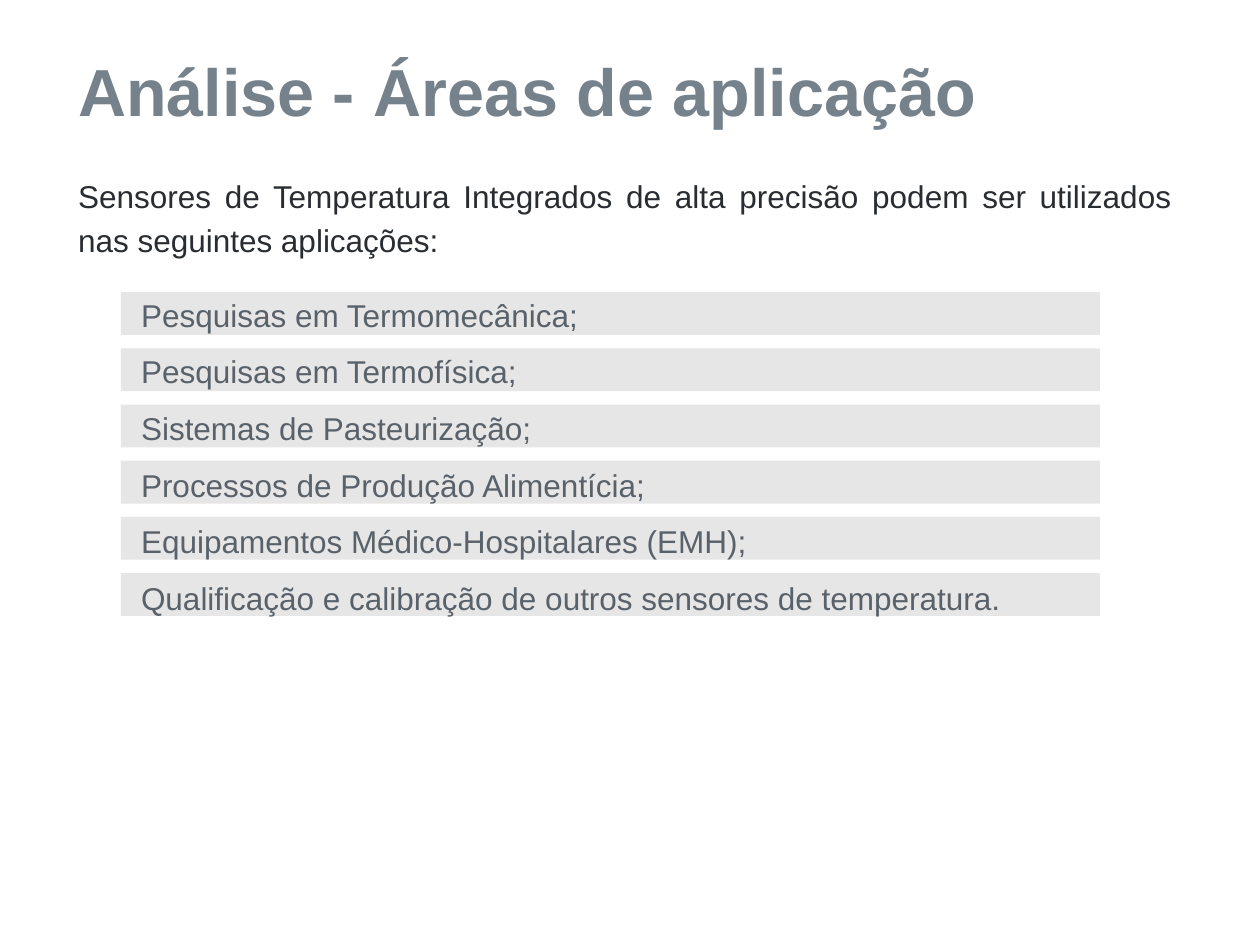
from dataclasses import dataclass

from lxml.etree import SubElement
from pptx import Presentation
from pptx.dml.color import RGBColor
from pptx.enum.shapes import MSO_SHAPE
from pptx.enum.text import MSO_ANCHOR, MSO_AUTO_SIZE, PP_ALIGN
from pptx.oxml.ns import qn
from pptx.util import Pt

FONT = "Arial"
TITLE = "Análise - Áreas de aplicação"
INTRODUCTION = (
    "Sensores de Temperatura Integrados de alta precisão podem ser utilizados "
    "nas seguintes aplicações:"
)
APPLICATIONS = [
    "Pesquisas em Termomecânica;",
    "Pesquisas em Termofísica;",
    "Sistemas de Pasteurização;",
    "Processos de Produção Alimentícia;",
    "Equipamentos Médico-Hospitalares (EMH);",
    "Qualificação e calibração de outros sensores de temperatura.",
]
BAR_PITCH = 32.1


@dataclass
class Box:
    left: float
    top: float
    width: float
    height: float

    def lengths(self):
        return Pt(self.left), Pt(self.top), Pt(self.width), Pt(self.height)


TITLE_BOX = Box(37.4, 28.8, 620.6, 65.5)
BODY_BOX = Box(37.4, 94.3, 639.4, 351.4)
FIRST_BAR = Box(69.1, 167, 559.4, 24.5)


def color(value: str) -> RGBColor:
    return RGBColor.from_string(value)


def write(paragraph, text, *, size=18, fill="59626A", bold=False,
          align=PP_ALIGN.JUSTIFY, line=32.4, before=0, indent=0):
    paragraph.alignment = align
    paragraph.line_spacing = Pt(line)
    paragraph.space_before = Pt(before)
    paragraph.space_after = Pt(0)
    properties = paragraph._p.get_or_add_pPr()
    properties.set("marL", str(Pt(indent)))
    properties.set("indent", "0")
    SubElement(properties, qn("a:buNone"))
    run = paragraph.add_run()
    run.text = text
    run.font.name = FONT
    run.font.size = Pt(size)
    run.font.bold = bold
    run.font.color.rgb = color(fill)


def place(placeholder, box: Box):
    """Move a placeholder to its box and anchor its text at the top."""
    placeholder.left, placeholder.top, placeholder.width, placeholder.height = box.lengths()
    frame = placeholder.text_frame
    frame.word_wrap = True
    frame.auto_size = MSO_AUTO_SIZE.NONE
    frame.vertical_anchor = MSO_ANCHOR.TOP
    return frame


def add_bar(shapes, box: Box):
    bar = shapes.add_shape(MSO_SHAPE.RECTANGLE, *box.lengths())
    bar.shadow.inherit = False
    bar.fill.solid()
    bar.fill.fore_color.rgb = color("E7E6E6")
    bar.line.fill.background()


def main():
    presentation = Presentation()
    presentation.slide_width, presentation.slide_height = Pt(720), Pt(540)
    slide = presentation.slides.add_slide(presentation.slide_layouts[1])
    title, body = slide.placeholders

    bars = slide.shapes.add_group_shape()
    for index in range(len(APPLICATIONS)):
        add_bar(bars.shapes, Box(FIRST_BAR.left, FIRST_BAR.top + index * BAR_PITCH,
                                 FIRST_BAR.width, FIRST_BAR.height))
    # The text stands in front of the bars.
    for placeholder in (title, body):
        slide.shapes.element.append(placeholder.element)

    write(place(title, TITLE_BOX).paragraphs[0], TITLE, size=38, fill="75818B",
          bold=True, align=PP_ALIGN.LEFT, line=42)
    frame = place(body, BODY_BOX)
    write(frame.paragraphs[0], INTRODUCTION, fill="292D31", line=25.1)
    for index, application in enumerate(APPLICATIONS):
        write(frame.add_paragraph(), application, indent=36,
              before=10 if index == 0 else 0)

    presentation.save("out.pptx")


if __name__ == "__main__":
    main()
